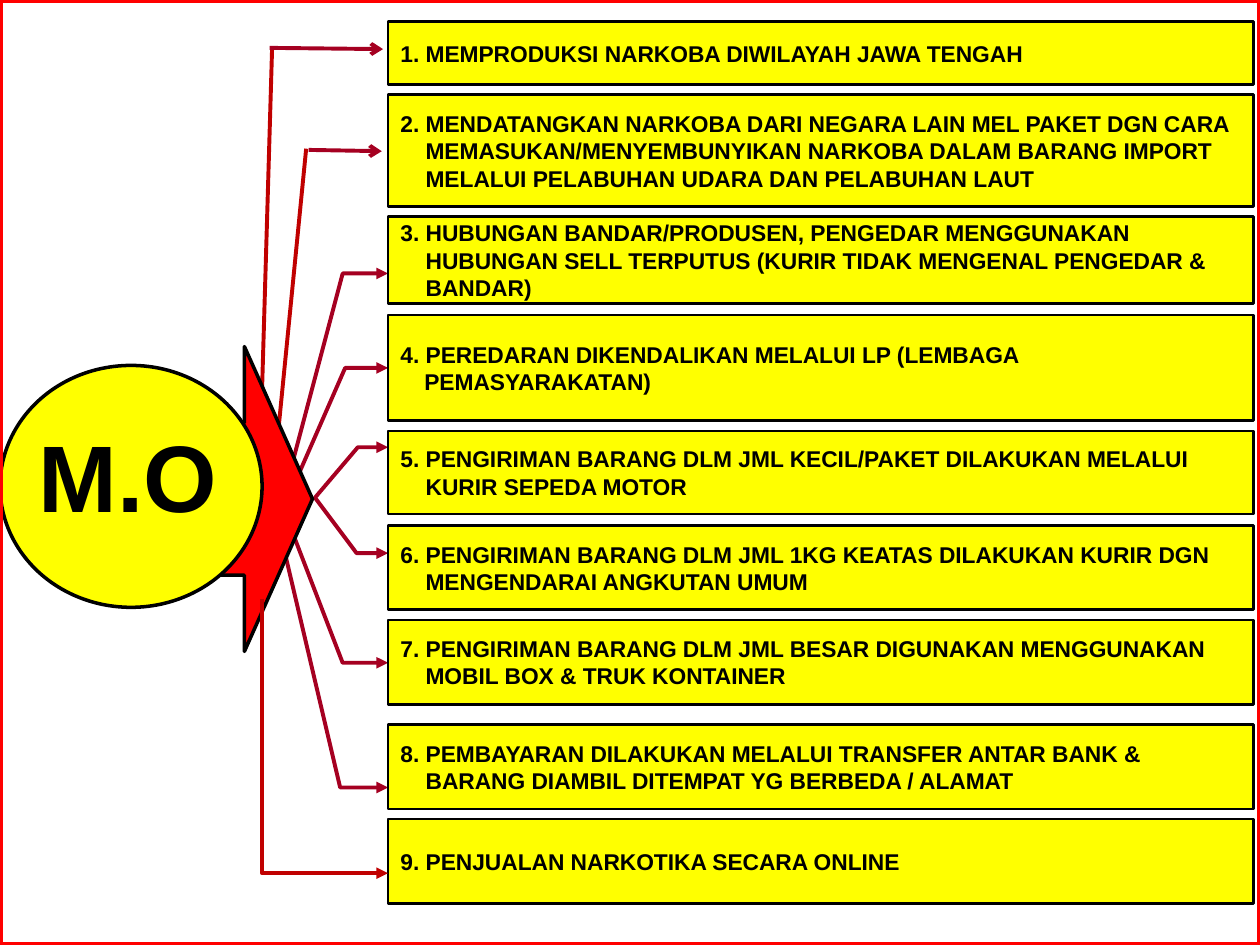
from typing import NamedTuple

from lxml import etree
from pptx import Presentation
from pptx.dml.color import RGBColor
from pptx.enum import shapes, text
from pptx.oxml.ns import qn
from pptx.util import Inches, Pt

FONT = "Arial"
BLACK, YELLOW, RED = "000000", "FFFF00", "FF0000"
CRIMSON, DARK_RED = "A50021", "C00000"
BOX_LEFT, BOX_WIDTH = 3.08, 6.87


class Method(NamedTuple):
    top: float
    height: float
    text: str
    hanging: float = 0.2


class Fork(NamedTuple):
    """A two-headed bracket: the hub point and the bends above and below it."""
    hub: tuple[float, float]
    upper: tuple[float, float]
    lower: tuple[float, float]


class Line(NamedTuple):
    start: tuple[float, float]
    end: tuple[float, float]
    color: str
    tail: str = ""


METHODS = [
    Method(0.17, 0.5, "1. MEMPRODUKSI NARKOBA DIWILAYAH JAWA TENGAH", 0),
    Method(0.75, 0.89, "2. MENDATANGKAN NARKOBA DARI NEGARA LAIN MEL PAKET DGN CARA "
           "MEMASUKAN/MENYEMBUNYIKAN NARKOBA DALAM BARANG IMPORT "
           "MELALUI PELABUHAN UDARA DAN PELABUHAN LAUT"),
    Method(1.72, 0.69, "3. HUBUNGAN BANDAR/PRODUSEN, PENGEDAR MENGGUNAKAN HUBUNGAN "
           "SELL TERPUTUS (KURIR TIDAK MENGENAL PENGEDAR & BANDAR)"),
    Method(2.5, 0.84, "4. PEREDARAN DIKENDALIKAN MELALUI LP (LEMBAGA PEMASYARAKATAN)", 0.19),
    Method(3.42, 0.66, "5. PENGIRIMAN BARANG DLM JML KECIL/PAKET DILAKUKAN MELALUI "
           "KURIR SEPEDA MOTOR"),
    Method(4.17, 0.67, "6. PENGIRIMAN BARANG DLM JML 1KG KEATAS DILAKUKAN KURIR DGN "
           "MENGENDARAI ANGKUTAN UMUM"),
    Method(4.92, 0.67, "7. PENGIRIMAN BARANG DLM JML BESAR DIGUNAKAN MENGGUNAKAN "
           "MOBIL BOX & TRUK KONTAINER"),
    Method(5.75, 0.67, "8. PEMBAYARAN DILAKUKAN MELALUI TRANSFER ANTAR BANK & "
           "BARANG DIAMBIL DITEMPAT YG BERBEDA / ALAMAT"),
    Method(6.5, 0.67, "9. PENJUALAN NARKOTIKA SECARA ONLINE", 0),
]
FORKS = [
    Fork((2.2, 4.13), (2.72, 2.17), (2.7, 6.25)),
    Fork((2.25, 4.04), (2.74, 2.92), (2.72, 5.26)),
    Fork((2.5, 3.95), (2.84, 3.55), (2.83, 4.39)),
]
STEMS = [
    Line((2.43, 1.18), (2.1, 4.52), DARK_RED),
    Line((2.16, 0.37), (2.06, 3.77), DARK_RED),
]
POINTERS = [
    Line((2.14, 0.38), (3.04, 0.39), CRIMSON, "arrow"),
    Line((2.45, 1.19), (3.03, 1.2), CRIMSON, "arrow"),
]


def rgb(color: str) -> RGBColor:
    return RGBColor.from_string(color)


def style_line(s, color: str, width: float, head: str = "", tail: str = "") -> None:
    s.line.color.rgb = rgb(color)
    s.line.width = Pt(width)
    ln = s.line._get_or_add_ln()
    for tag, kind in (("a:headEnd", head), ("a:tailEnd", tail)):
        if kind:
            etree.SubElement(ln, qn(tag), type=kind)


def add_preset(slide, kind, left: float, top: float, width: float, height: float,
               fill: str, line: str, weight: float):
    """Add a preset shape; an empty fill string leaves it hollow."""
    s = slide.shapes.add_shape(kind, Inches(left), Inches(top), Inches(width), Inches(height))
    s.shadow.inherit = False
    if fill:
        s.fill.solid()
        s.fill.fore_color.rgb = rgb(fill)
    else:
        s.fill.background()
    style_line(s, line, weight)
    return s


def write(tf, content: str, size: float, align):
    p = tf.paragraphs[0]
    p.text = content
    p.alignment = align
    p.font.name, p.font.size, p.font.bold = FONT, Pt(size), True
    p.font.color.rgb = rgb(BLACK)
    return p


def add_method(slide, m: Method) -> None:
    s = add_preset(slide, shapes.MSO_SHAPE.RECTANGLE, BOX_LEFT, m.top, BOX_WIDTH, m.height,
                   YELLOW, BLACK, 1.5)
    tf = s.text_frame
    tf.word_wrap = True
    tf.vertical_anchor = text.MSO_ANCHOR.MIDDLE
    p = write(tf, m.text, 13, text.PP_ALIGN.LEFT)
    if m.hanging:
        pPr = p._p.get_or_add_pPr()
        pPr.set("marL", str(Inches(m.hanging)))
        pPr.set("indent", str(-Inches(m.hanging)))


def add_fork(slide, f: Fork) -> None:
    outline = [(BOX_LEFT, f.upper[1]), f.upper, f.hub, f.lower, (BOX_LEFT, f.lower[1])]
    start, *rest = [(Inches(x), Inches(y)) for x, y in outline]
    builder = slide.shapes.build_freeform(*start)
    builder.add_line_segments(rest, close=False)
    s = builder.convert_to_shape()
    s.shadow.inherit = False
    s.fill.background()
    style_line(s, CRIMSON, 2.25, "triangle", "triangle")


def add_line(slide, line: Line, kind=shapes.MSO_CONNECTOR.STRAIGHT):
    points = [Inches(v) for v in (*line.start, *line.end)]
    c = slide.shapes.add_connector(kind, *points)
    style_line(c, line.color, 2.25, tail=line.tail)
    etree.SubElement(c._element.spPr, qn("a:effectLst"))
    return c


def add_corner_connector(slide) -> None:
    """Run down from the circle and right to the last box with a single bend."""
    c = add_line(slide, Line((3.67, 5.34), (1.49, 6.34), DARK_RED, "triangle"),
                 shapes.MSO_CONNECTOR.ELBOW)
    spPr = c._element.spPr
    spPr.find(qn("a:prstGeom")).set("prst", "bentConnector2")
    spPr.find(qn("a:xfrm")).set("rot", str(270 * 60000))


def add_hub(slide) -> None:
    add_preset(slide, shapes.MSO_SHAPE.RIGHT_ARROW, 1.4, 2.75, 1.08, 2.42, RED, BLACK, 2)
    add_preset(slide, shapes.MSO_SHAPE.OVAL, 0, 2.9, 2.08, 1.92, YELLOW, BLACK, 2)
    s = slide.shapes.add_textbox(Inches(0.2), Inches(3.27), Inches(1.63), Inches(1.01))
    s.text_frame.word_wrap = False
    s.text_frame.auto_size = text.MSO_AUTO_SIZE.SHAPE_TO_FIT_TEXT
    write(s.text_frame, "M.O", 54, text.PP_ALIGN.CENTER)


def main() -> None:
    prs = Presentation()
    prs.slide_width, prs.slide_height = Inches(10), Inches(7.5)
    slide = prs.slides.add_slide(prs.slide_layouts[6])
    for stem in STEMS:
        add_line(slide, stem)
    for fork in FORKS:
        add_fork(slide, fork)
    for method in METHODS:
        add_method(slide, method)
    add_hub(slide)
    add_preset(slide, shapes.MSO_SHAPE.RECTANGLE, 0, 0, 10, 7.5, "", RED, 3)
    for pointer in POINTERS:
        add_line(slide, pointer)
    add_corner_connector(slide)
    prs.save("out.pptx")


if __name__ == "__main__":
    main()
